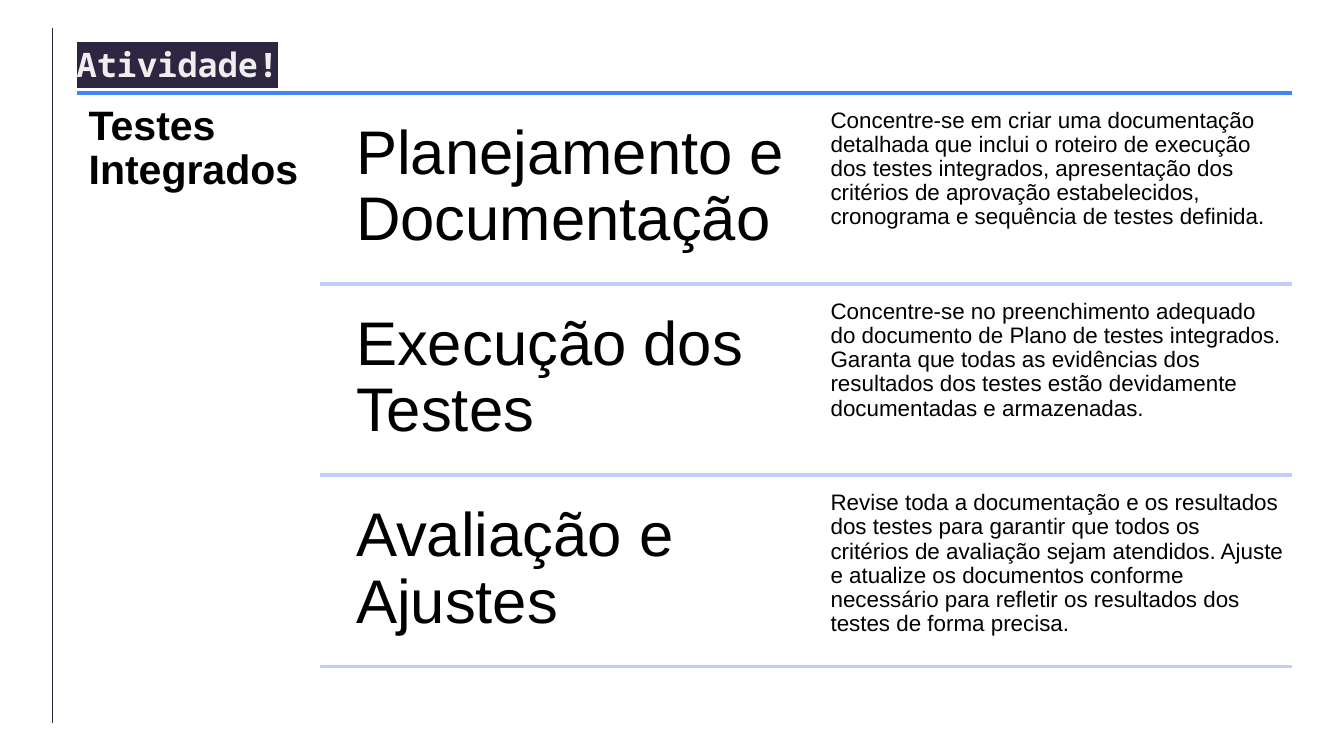
from dataclasses import dataclass

import lxml.etree
import pptx
import pptx.dml.color
import pptx.enum.shapes
import pptx.enum.text
import pptx.oxml.ns
import pptx.util

Inches = pptx.util.Inches

FONT = "Arial"
INK = "000000"
DARK = "2E2640"
BLUE = "4285F4"
PALE_BLUE = "C0CEFA"

LEFT, RIGHT = 0.57, 9.61
STEPS_LEFT = 2.38
NAME_LEFT, DETAIL_LEFT = 2.51, 6.13
STEP_WIDTH, STEP_HEIGHT = 3.48, 1.36
GRID_TOP, GRID_BOTTOM = 0.69, 4.96
TEXT_GAP = 0.07


@dataclass(frozen=True)
class Step:
    name: str
    detail: str


@dataclass(frozen=True)
class Box:
    left: float
    top: float
    width: float
    height: float


@dataclass(frozen=True)
class TextStyle:
    size: float
    inset: float
    bold: bool = False


HEADING = TextStyle(22, 0.09, bold=True)
STEP_NAME = TextStyle(33, 0.14)
STEP_DETAIL = TextStyle(12, 0.05)

STEPS = [
    Step(
        "Planejamento e Documentação",
        "Concentre-se em criar uma documentação detalhada que inclui o roteiro de "
        "execução dos testes integrados, apresentação dos critérios de aprovação "
        "estabelecidos, cronograma e sequência de testes definida.",
    ),
    Step(
        "Execução dos Testes",
        "Concentre-se no preenchimento adequado do documento de Plano de testes "
        "integrados. Garanta que todas as evidências dos resultados dos testes "
        "estão devidamente documentadas e armazenadas.",
    ),
    Step(
        "Avaliação e Ajustes",
        "Revise toda a documentação e os resultados dos testes para garantir que "
        "todos os critérios de avaliação sejam atendidos. Ajuste e atualize os "
        "documentos conforme necessário para refletir os resultados dos testes de "
        "forma precisa.",
    ),
]


def color(value: str) -> pptx.dml.color.RGBColor:
    return pptx.dml.color.RGBColor.from_string(value)


def add_line(slide, start: tuple[float, float], end: tuple[float, float],
             line_color: str, width: float) -> None:
    connector = slide.shapes.add_connector(
        pptx.enum.shapes.MSO_CONNECTOR.STRAIGHT,
        *(Inches(value) for value in start + end),
    )
    connector.line.color.rgb = color(line_color)
    connector.line.width = pptx.util.Pt(width)
    properties = connector._element.spPr
    lxml.etree.SubElement(properties, pptx.oxml.ns.qn("a:effectLst"))


def add_text(slide, box: Box, text: str, style: TextStyle) -> None:
    shape = slide.shapes.add_textbox(
        Inches(box.left), Inches(box.top), Inches(box.width), Inches(box.height)
    )
    frame = shape.text_frame
    frame.word_wrap = True
    frame.margin_left = frame.margin_right = Inches(style.inset)
    frame.margin_top = frame.margin_bottom = Inches(style.inset)
    paragraph = frame.paragraphs[0]
    paragraph.text = text
    paragraph.line_spacing = 0.9
    paragraph.font.name = FONT
    paragraph.font.size = pptx.util.Pt(style.size)
    paragraph.font.bold = style.bold
    paragraph.font.color.rgb = color(INK)


def fill_title(slide, text: str) -> None:
    title = slide.shapes.title
    title.left, title.top = Inches(LEFT), Inches(0.28)
    title.width, title.height = Inches(6.62), Inches(0.4)
    frame = title.text_frame
    frame.auto_size = pptx.enum.text.MSO_AUTO_SIZE.NONE
    frame.vertical_anchor = pptx.enum.text.MSO_ANCHOR.MIDDLE
    frame.margin_left = 0
    frame.margin_top = frame.margin_right = frame.margin_bottom = Inches(0.05)
    paragraph = frame.paragraphs[0]
    paragraph.alignment = pptx.enum.text.PP_ALIGN.LEFT
    run = paragraph.add_run()
    run.text = text
    run.font.size = pptx.util.Pt(18)
    run.font.bold = True
    run.font.color.rgb = color("EEEEEE")
    highlight = lxml.etree.SubElement(
        run.font._element, pptx.oxml.ns.qn("a:highlight")
    )
    lxml.etree.SubElement(highlight, pptx.oxml.ns.qn("a:srgbClr"), val=DARK)
    run.font.name = "Noto Sans Mono"


def add_step(slide, step: Step, top: float, bottom: float) -> None:
    text_top = top + TEXT_GAP
    add_text(slide, Box(NAME_LEFT, text_top, STEP_WIDTH, STEP_HEIGHT),
             step.name, STEP_NAME)
    add_text(slide, Box(DETAIL_LEFT, text_top, STEP_WIDTH, STEP_HEIGHT),
             step.detail, STEP_DETAIL)
    add_line(slide, (STEPS_LEFT, bottom), (RIGHT, bottom), PALE_BLUE, 2)


def main() -> None:
    presentation = pptx.Presentation()
    presentation.slide_width = Inches(10)
    presentation.slide_height = presentation.slide_width * 9 // 16
    slide = presentation.slides.add_slide(presentation.slide_layouts[5])

    fill_title(slide, "Atividade!")
    add_line(slide, (0.39, 0.21), (0.39, 5.38), DARK, 0.75)
    add_line(slide, (LEFT, GRID_TOP), (RIGHT, GRID_TOP), BLUE, 2)
    add_text(slide, Box(LEFT, GRID_TOP, STEPS_LEFT - LEFT, 4.34),
             "Testes Integrados", HEADING)

    row_height = (GRID_BOTTOM - GRID_TOP) / len(STEPS)
    for row, step in enumerate(STEPS):
        top = GRID_TOP + row * row_height
        add_step(slide, step, top, top + row_height)

    presentation.save("out.pptx")


if __name__ == "__main__":
    main()
